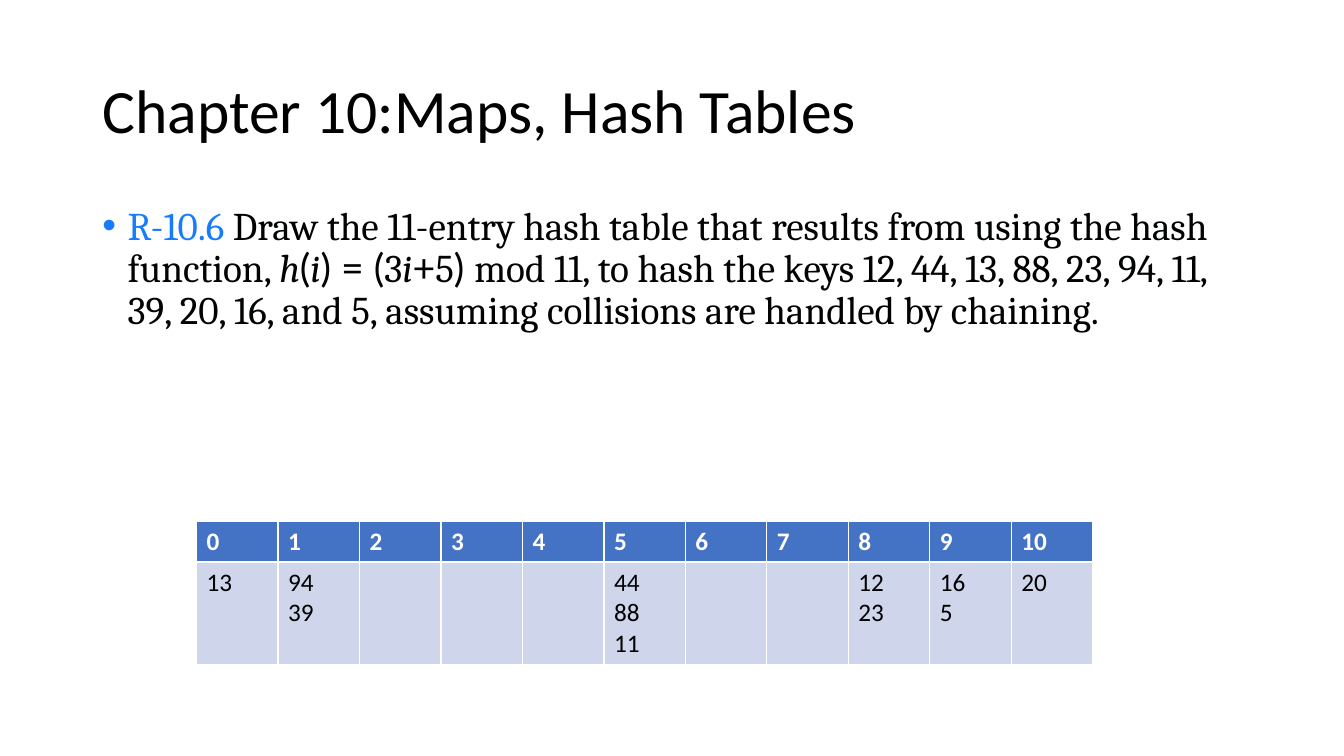
from pptx import Presentation
from pptx.dml.color import RGBColor
from pptx.enum import text as t
from pptx.oxml import parse_xml
from pptx.oxml.ns import nsdecls
from pptx.util import Pt

# Content
TITLE = "Chapter 10:Maps, Hash Tables"
BLACK = RGBColor(0x00, 0x00, 0x00)
WHITE = RGBColor(0xFF, 0xFF, 0xFF)
INK = RGBColor(0x00, 0x03, 0x02)
LINK = RGBColor(0x16, 0x7C, 0xFD)
HEAD = RGBColor(0x44, 0x72, 0xC4)
CELL = RGBColor(0xCF, 0xD5, 0xEA)

LABEL = {"color": LINK}
PLAIN = {}
VAR = {"italic": True}
SIGN = {"font": "Lato"}
TASK = [
    ("R-10.6 ", LABEL),
    ("Draw the 11-entry hash table that results from using the hash function, ", PLAIN),
    ("h", VAR), ("(", SIGN), ("i", VAR), (") = (", SIGN),
    ("3", PLAIN), ("i", VAR), ("+", SIGN), ("5", PLAIN), (") ", SIGN),
    ("mod 11, to hash the keys 12, 44, 13, 88, 23, 94, 11, 39, 20, 16, and 5, "
     "assuming collisions are handled by chaining.", PLAIN),
]
SLOTS = 11
CHAINS = {0: [13], 1: [94, 39], 5: [44, 88, 11], 8: [12, 23], 9: [16, 5], 10: [20]}

# Layout in points
LEFT, WIDE = 66, 828
GRID = (140.4, 372.24)
COL = 58.2
ROWS = (29.2, 72.3)


def write(para, words, font="Calibri", size=18, color=BLACK, bold=False, italic=False):
    run = para.add_run()
    run.text = words
    face = run.font
    face.name, face.size = font, Pt(size)
    face.bold, face.italic = bold, italic
    face.color.rgb = color


def place(holder, top, high, anchor):
    holder.left, holder.top = Pt(LEFT), Pt(top)
    holder.width, holder.height = Pt(WIDE), Pt(high)
    frame = holder.text_frame
    frame.word_wrap = True
    frame.auto_size = t.MSO_AUTO_SIZE.NONE
    frame.vertical_anchor = anchor
    para = frame.paragraphs[0]
    para.alignment = t.PP_ALIGN.LEFT
    para.line_spacing = 0.9
    return para


def fill(cell, lines, back, **style):
    cell.fill.solid()
    cell.fill.fore_color.rgb = back
    frame = cell.text_frame
    for num, line in enumerate(lines):
        para = frame.add_paragraph() if num else frame.paragraphs[0]
        write(para, str(line), **style)


deck = Presentation()
deck.slide_width, deck.slide_height = Pt(960), Pt(540)
slide = deck.slides.add_slide(deck.slide_layouts[1])

# Title
para = place(slide.shapes.title, 28.75, 104.4, t.MSO_ANCHOR.MIDDLE)
write(para, TITLE, size=44)

# Exercise with its bullet
para = place(slide.placeholders[1], 143.75, 307.4, t.MSO_ANCHOR.TOP)
para.space_before = Pt(10)
props = para._p.get_or_add_pPr()
props.set("marL", str(Pt(18)))
props.set("indent", str(Pt(-18)))
props.append(parse_xml(f'<a:buFont {nsdecls("a")} typeface="Arial"/>'))
props.append(parse_xml(f'<a:buChar {nsdecls("a")} char="•"/>'))
for words, style in TASK:
    write(para, words, **{"font": "Cambria", "size": 28, "color": INK, **style})

# Hash table: slot numbers above, chained keys below
table = slide.shapes.add_table(
    2, SLOTS, Pt(GRID[0]), Pt(GRID[1]), Pt(COL * SLOTS), Pt(sum(ROWS))).table
for row, high in zip(table.rows, ROWS):
    row.height = Pt(high)
for slot in range(SLOTS):
    table.columns[slot].width = Pt(COL)
    fill(table.cell(0, slot), [slot], HEAD, color=WHITE, bold=True)
    fill(table.cell(1, slot), CHAINS.get(slot, []), CELL)

deck.save("out.pptx")
